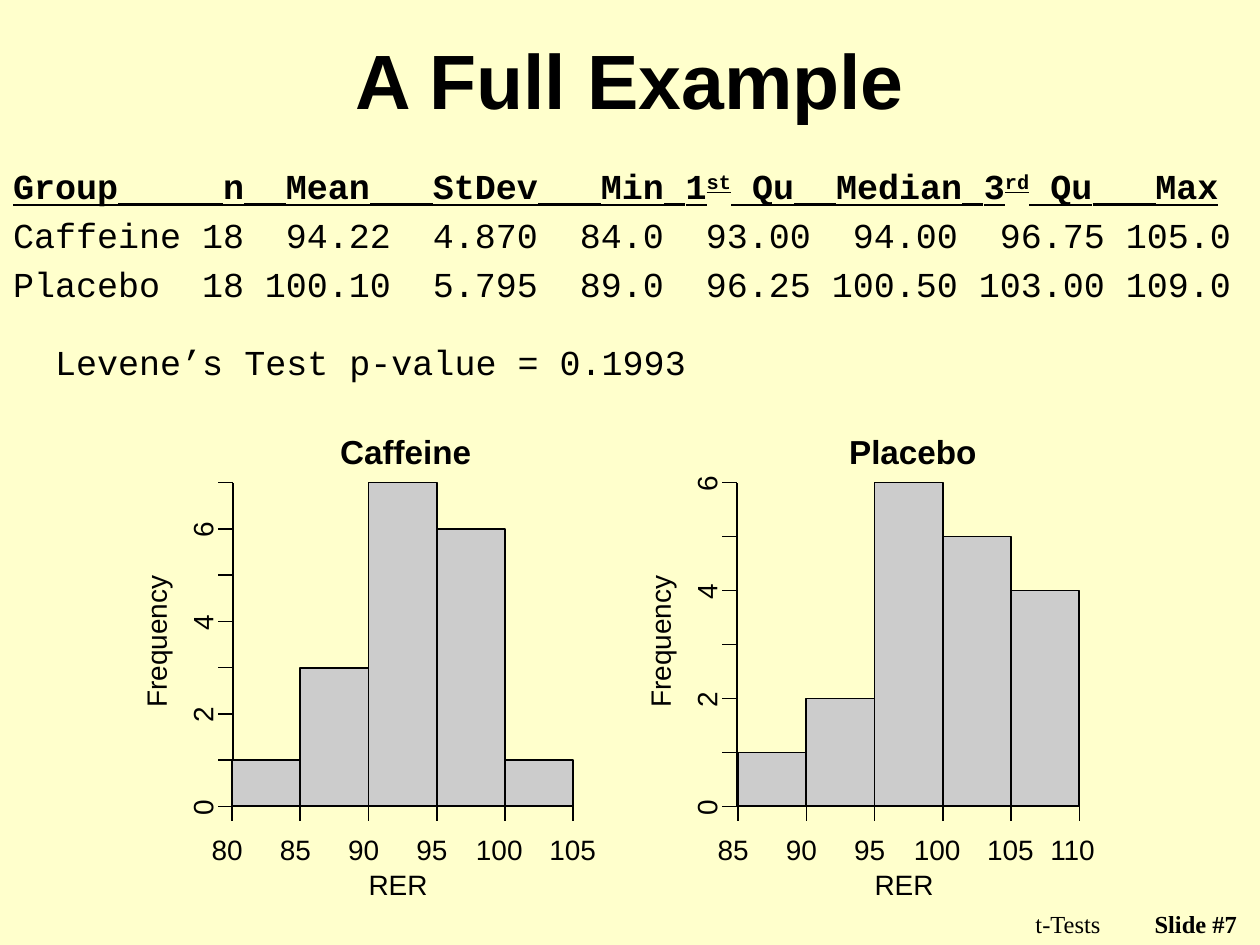
from lxml.etree import SubElement
from pptx import Presentation
from pptx.dml.color import RGBColor
from pptx.enum.shapes import MSO_CONNECTOR, MSO_SHAPE
from pptx.enum.text import MSO_ANCHOR, MSO_AUTO_SIZE, PP_ALIGN
from pptx.oxml.ns import qn
from pptx.util import Pt

# Content
TITLE = "A Full Example"
FOOTER = "t-Tests"
SLIDE_NUMBER = "Slide #7"
# Header cells are (text, superscript, rest)
HEADINGS = [("Group", "", ""), ("n", "", ""), ("Mean", "", ""), ("StDev", "", ""), ("Min", "", ""),
            ("1", "st", " Qu"), ("Median", "", ""), ("3", "rd", " Qu"), ("Max", "", "")]
SUMMARIES = [
    ["Caffeine", "18", "94.22", "4.870", "84.0", "93.00", "94.00", "96.75", "105.0"],
    ["Placebo", "18", "100.10", "5.795", "89.0", "96.25", "100.50", "103.00", "109.0"],
]
LEVENE = "Levene’s Test p-value = 0.1993"
HISTOGRAMS = [
    {"group": "Caffeine", "counts": [1, 3, 7, 6, 1], "first_edge": 80,
     "left": 132.6, "y_axis": 133.2, "title_left": 194.4},
    {"group": "Placebo", "counts": [1, 2, 6, 5, 4], "first_edge": 85,
     "left": 421.8, "y_axis": 421.2, "title_left": 485.3},
]

# Formats
COLORS = {"background": "FFFFCC", "ink": "000000", "bar": "CCCCCC"}
FORMATS = {
    "title": {"name": "Arial", "size": Pt(44), "bold": True},
    "heading": {"name": "Courier New", "size": Pt(20), "bold": True, "underline": True},
    "summary": {"name": "Courier New", "size": Pt(20), "bold": False},
    "footer": {"name": "Times New Roman", "size": Pt(14), "bold": False},
    "number": {"name": "Times New Roman", "size": Pt(14), "bold": True},
    "group": {"name": "Arial", "size": Pt(19), "bold": True},
    "axis": {"name": "Arial", "size": Pt(16), "bold": False},
}

# Layout in points; column ends are counted in characters
CHARACTER, RAISED_SHARE = 12, 0.6
TABLE_LEFT, TABLE_TOP, INSET, UNDERLINE_Y = 0.4, 90.6, 7.2, 116.9
HEADING_ENDS = [11, 17, 25, 31, 37.2, 45.2, 51.4, 57.4]
SUMMARY_ENDS = [11, 18, 25, 31, 38, 45, 52, 58]
BASELINE, PLOT_TOP = 460.8, 275.8
BIN_WIDTH, BIN_STEP, TICK = 39, 5, 8.6
EDGE_OFFSETS = {"100": 16.6, "105": 13.7, "110": 16.6}
TWO_DIGIT_OFFSET, EDGE_WIDTH = 11.7, 33

presentation = Presentation()
presentation.slide_width, presentation.slide_height = Pt(720), Pt(540)
slide = presentation.slides.add_slide(presentation.slide_layouts[6])
slide.background.fill.solid()
slide.background.fill.fore_color.rgb = RGBColor.from_string(COLORS["background"])


def apply_format(font, kind):
    for attribute, value in FORMATS[kind].items():
        setattr(font, attribute, value)
    font.color.rgb = RGBColor.from_string(COLORS["ink"])


def add_run(paragraph, text, kind, raised=False):
    run = paragraph.add_run()
    run.text = text
    apply_format(run.font, kind)
    if raised:
        run.font._element.set("baseline", "30000")


def add_frame(left, top, width, height):
    box = slide.shapes.add_textbox(Pt(left), Pt(top), Pt(width), Pt(height))
    box.text_frame.word_wrap = True
    return box.text_frame


def add_text(text, kind, area, align):
    frame = add_frame(*area)
    frame.paragraphs[0].alignment = align
    add_run(frame.paragraphs[0], text, kind)
    return frame


def add_label(text, kind, left, top, width, height=20, rotation=0):
    box = slide.shapes.add_textbox(Pt(left), Pt(top), Pt(width), Pt(height))
    box.rotation = rotation
    frame = box.text_frame
    for side in ("left", "top", "right", "bottom"):
        setattr(frame, f"margin_{side}", 0)
    frame.word_wrap = False
    frame.auto_size = MSO_AUTO_SIZE.SHAPE_TO_FIT_TEXT
    add_run(frame.paragraphs[0], text, kind)


def add_line(x1, y1, x2, y2, width=1):
    line = slide.shapes.add_connector(MSO_CONNECTOR.STRAIGHT, Pt(x1), Pt(y1), Pt(x2), Pt(y2))
    line.line.color.rgb = RGBColor.from_string(COLORS["ink"])
    line.line.width = Pt(width)
    SubElement(line._element.spPr, qn("a:effectLst"))


def add_bar(left, top, width, height):
    bar = slide.shapes.add_shape(MSO_SHAPE.RECTANGLE, Pt(left), Pt(top), Pt(width), Pt(height))
    bar.shadow.inherit = False
    bar.fill.solid()
    bar.fill.fore_color.rgb = RGBColor.from_string(COLORS["bar"])
    bar.line.color.rgb = RGBColor.from_string(COLORS["ink"])
    bar.line.width = Pt(1)


def set_tabs(paragraph, ends):
    tabs = SubElement(paragraph._p.get_or_add_pPr(), qn("a:tabLst"))
    for end in ends:
        SubElement(tabs, qn("a:tab"), pos=str(Pt(end * CHARACTER)), algn="r")


def add_histogram(histogram):
    left, y_axis, counts = (histogram[key] for key in ("left", "y_axis", "counts"))
    unit = (BASELINE - PLOT_TOP) / max(counts)

    # Titles
    add_label(histogram["group"], "group", histogram["title_left"], 246.2, 86, 28)
    add_label("RER", "axis", left + 2 * BIN_WIDTH, 496, 39)
    add_label("Frequency", "axis", y_axis - 82.8, 355.4, 78, rotation=270)

    # Horizontal axis
    add_line(left, BASELINE, left + len(counts) * BIN_WIDTH, BASELINE)
    for index in range(len(counts) + 1):
        x = left + index * BIN_WIDTH
        edge = str(histogram["first_edge"] + index * BIN_STEP)
        add_line(x, BASELINE, x, BASELINE + TICK)
        add_label(edge, "axis", x - EDGE_OFFSETS.get(edge, TWO_DIGIT_OFFSET), 476, EDGE_WIDTH)

    # Vertical axis, every second tick labelled
    add_line(y_axis, BASELINE, y_axis, PLOT_TOP)
    for count in range(max(counts) + 1):
        y = BASELINE - count * unit
        add_line(y_axis, y, y_axis - TICK, y)
        if count % 2 == 0:
            add_label(str(count), "axis", y_axis - 25.2, y - 13, 16, rotation=270)

    # Bars
    for index, count in enumerate(counts):
        add_bar(left + index * BIN_WIDTH, BASELINE - count * unit, BIN_WIDTH, count * unit)


# Title and footer
title = add_text(TITLE, "title", (54, 12, 612, 66), PP_ALIGN.CENTER)
title.vertical_anchor = MSO_ANCHOR.MIDDLE
add_text(FOOTER, "footer", (408, 516, 228, 18), PP_ALIGN.RIGHT)
add_text(SLIDE_NUMBER, "number", (636, 516, 78, 18), PP_ALIGN.RIGHT)

# Summary statistics
statistics = add_frame(TABLE_LEFT, TABLE_TOP, 719, 140)
heading = statistics.paragraphs[0]
set_tabs(heading, HEADING_ENDS)
for column, (text, superscript, rest) in enumerate(HEADINGS):
    add_run(heading, ("\t" if column else "") + text, "heading")
    if superscript:
        add_run(heading, superscript, "heading", raised=True)
        add_run(heading, rest, "heading")
for summary in SUMMARIES:
    row = statistics.add_paragraph()
    row.space_before = Pt(3.9)
    set_tabs(row, SUMMARY_ENDS)
    add_run(row, "\t".join(summary), "summary")
levene = statistics.add_paragraph()
levene.space_before = Pt(20.8)
levene._p.get_or_add_pPr().set("marL", str(Pt(2 * CHARACTER)))
add_run(levene, LEVENE, "summary")

# Underline carried across the gaps between headings
gap_starts = [len(HEADINGS[0][0])] + HEADING_ENDS
for start, end, (text, superscript, rest) in zip(gap_starts, HEADING_ENDS, HEADINGS[1:]):
    stop = end - len(text + rest) - RAISED_SHARE * len(superscript)
    x1, x2 = (TABLE_LEFT + INSET + place * CHARACTER for place in (start, stop))
    add_line(x1, UNDERLINE_Y, x2, UNDERLINE_Y, 1.2)

# Histograms
for histogram in HISTOGRAMS:
    add_histogram(histogram)

presentation.save("out.pptx")
